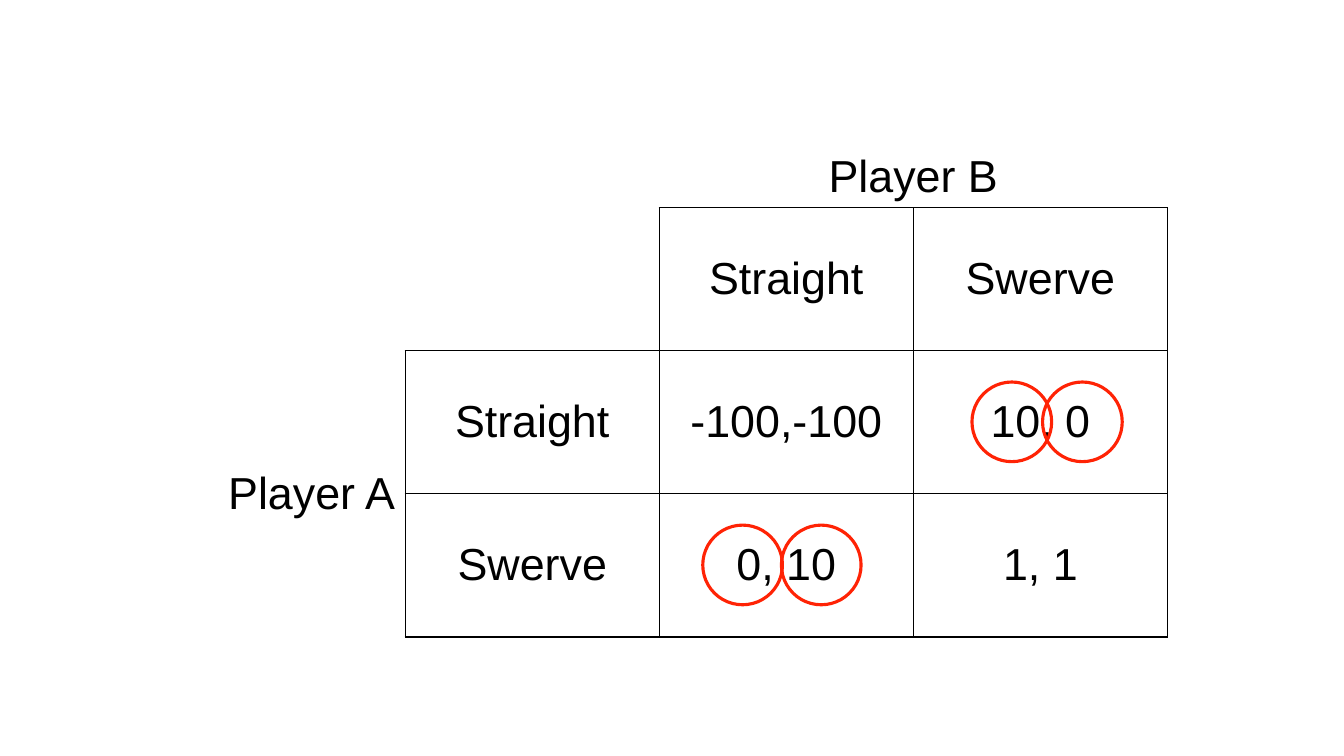
from dataclasses import dataclass

from lxml import etree
from pptx import Presentation
from pptx import util as u
from pptx.dml.color import RGBColor
from pptx.enum import shapes, text
from pptx.oxml import ns


@dataclass(frozen=True)
class Theme:
    font: str = "Arial"
    size: int = 32
    ink: str = "000000"
    ring: str = "FF2305"
    border_width: float = 1
    ring_width: float = 2.25


class PayoffPage:
    def __init__(self, deck, theme):
        self.page = deck.slides.add_slide(deck.slide_layouts[6])
        self.theme = theme

    def matrix(self, left, top, widths, heights, boxed):
        frame = self.page.shapes.add_table(
            len(heights), len(widths), u.Inches(left), u.Inches(top),
            u.Inches(sum(widths)), u.Inches(sum(heights)))
        table = frame.table
        table.first_row = table.horz_banding = False
        for column, width in zip(table.columns, widths):
            column.width = u.Inches(width)
        for row, height in zip(table.rows, heights):
            row.height = u.Inches(height)
        for row in range(len(heights)):
            for column in range(len(widths)):
                cell = table.cell(row, column)
                cell.fill.background()
                self.borders(cell, row, column, boxed)
        return table

    def borders(self, cell, row, column, boxed):
        neighbours = {"lnL": (row, column - 1), "lnR": (row, column + 1),
                      "lnT": (row - 1, column), "lnB": (row + 1, column)}
        properties = cell._tc.get_or_add_tcPr()
        for index, (edge, neighbour) in enumerate(neighbours.items()):
            line = etree.Element(ns.qn(f"a:{edge}"), w=str(u.Pt(self.theme.border_width)))
            if (row, column) in boxed or neighbour in boxed:
                fill = etree.SubElement(line, ns.qn("a:solidFill"))
                etree.SubElement(fill, ns.qn("a:srgbClr"), val=self.theme.ink)
            else:
                etree.SubElement(line, ns.qn("a:noFill"))
            properties.insert(index, line)

    def label(self, cell, words, align=text.PP_ALIGN.CENTER, anchor=text.MSO_ANCHOR.MIDDLE):
        cell.vertical_anchor = anchor
        para = cell.text_frame.paragraphs[0]
        para.text = words
        para.alignment = align
        para.font.name = self.theme.font
        para.font.size = u.Pt(self.theme.size)
        para.font.color.rgb = RGBColor.from_string(self.theme.ink)

    def ring(self, left, top, diameter):
        ring = self.page.shapes.add_shape(
            shapes.MSO_SHAPE.OVAL, u.Inches(left), u.Inches(top),
            u.Inches(diameter), u.Inches(diameter))
        ring.shadow.inherit = False
        ring.fill.background()
        ring.line.color.rgb = RGBColor.from_string(self.theme.ring)
        ring.line.width = u.Pt(self.theme.ring_width)


def main():
    deck = Presentation()
    deck.slide_width, deck.slide_height = u.Inches(13.33), u.Inches(7.5)
    payoff = PayoffPage(deck, Theme())

    boxed = {(row, column) for row in (1, 2, 3) for column in (1, 2, 3)} - {(1, 1)}
    table = payoff.matrix(1.75, 1.19, [2.27] + [2.52] * 3, [0.87] + [1.42] * 3, boxed)

    table.cell(0, 2).merge(table.cell(0, 3))
    table.cell(2, 0).merge(table.cell(3, 0))
    payoff.label(table.cell(0, 2), "Player B", anchor=text.MSO_ANCHOR.BOTTOM)
    payoff.label(table.cell(2, 0), "Player A", align=text.PP_ALIGN.RIGHT)

    moves = ["Straight", "Swerve"]
    payoffs = [["-100,-100", "10, 0"], ["0, 10", "1, 1"]]
    for index, move in enumerate(moves):
        payoff.label(table.cell(1, index + 2), move)
        payoff.label(table.cell(index + 2, 1), move)
        for column, outcome in enumerate(payoffs[index], start=2):
            payoff.label(table.cell(index + 2, column), outcome)

    for left, top in [(9.64, 3.79), (10.34, 3.79), (6.97, 5.21), (7.75, 5.21)]:
        payoff.ring(left, top, 0.79)

    deck.save("out.pptx")


if __name__ == "__main__":
    main()
